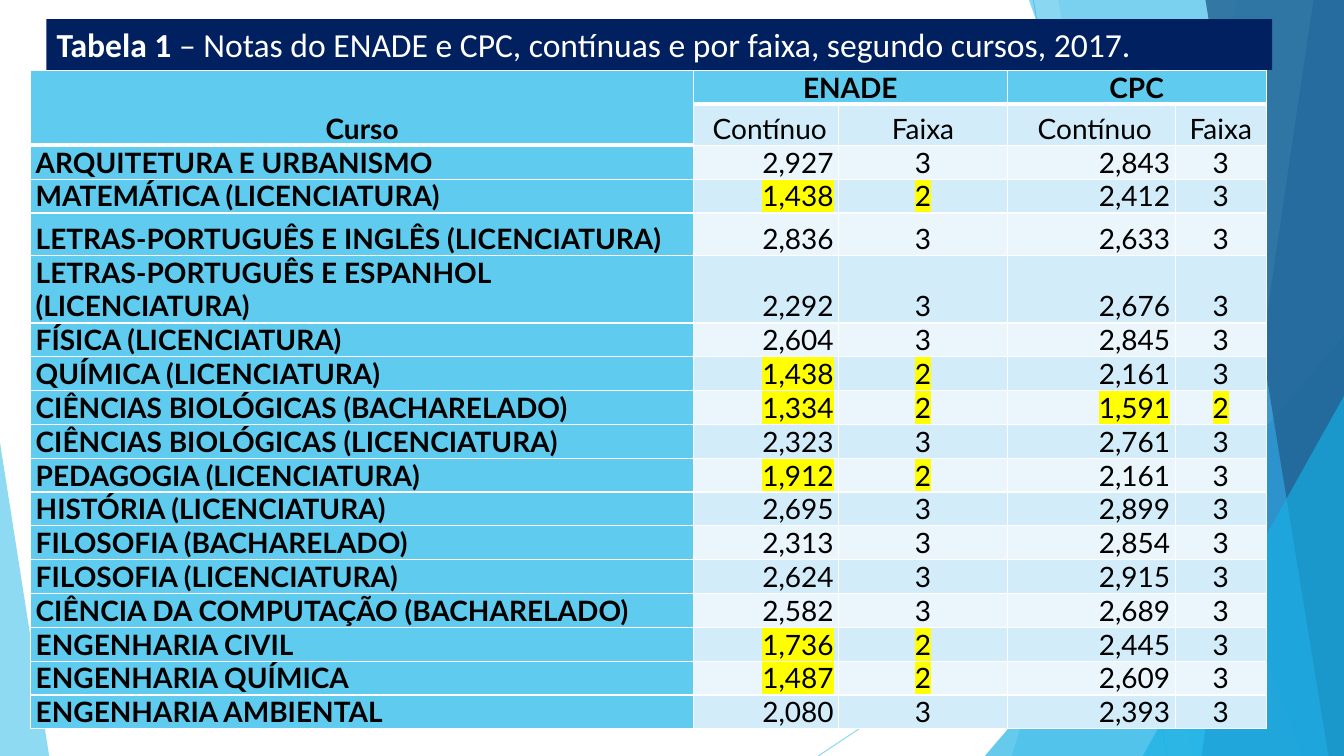
from dataclasses import dataclass

import pptx
import pptx.dml.color
import pptx.enum.shapes
import pptx.enum.text
import pptx.oxml
import pptx.oxml.ns
import pptx.util

Cm = pptx.util.Cm
Pt = pptx.util.Pt
Align = pptx.enum.text.PP_ALIGN
Anchor = pptx.enum.text.MSO_ANCHOR
qn = pptx.oxml.ns.qn


@dataclass(frozen=True)
class Theme:
    sky: str = "5FCBEF"
    azure: str = "17B0E4"
    blue: str = "2E83C3"
    steel: str = "226292"
    navy: str = "002060"
    band_dark: str = "D2ECF9"
    band_light: str = "EAF6FC"
    white: str = "FFFFFF"
    black: str = "000000"
    marker: str = "FFFF00"
    title_font: str = "Calibri"
    table_font: str = "Lato"
    title_size: int = 24
    table_size: int = 20
    thin: int = 1
    thick: int = 3


THEME = Theme()
WIDTH, HEIGHT = 33.87, 19.05
COLUMN_WIDTHS = [16.71, 3.66, 4.24, 4.24, 2.29]
ROW_HEIGHT = 0.85
TALL_ROWS = {1: 1.04, 4: 1.07, 5: 1.07}
ALIGNMENTS = [Align.LEFT, Align.RIGHT, Align.CENTER, Align.RIGHT, Align.CENTER]
LOW_BAND = "2"

HEADERS = [
    ["Curso", "ENADE", "", "CPC", ""],
    ["", " Contínuo", "Faixa", " Contínuo", "Faixa"],
]
COURSES = [
    ["ARQUITETURA E URBANISMO", "2,927", "3", "2,843", "3"],
    ["MATEMÁTICA (LICENCIATURA)", "1,438", "2", "2,412", "3"],
    ["LETRAS-PORTUGUÊS E INGLÊS (LICENCIATURA)", "2,836", "3", "2,633", "3"],
    ["LETRAS-PORTUGUÊS E ESPANHOL (LICENCIATURA)", "2,292", "3", "2,676", "3"],
    ["FÍSICA (LICENCIATURA)", "2,604", "3", "2,845", "3"],
    ["QUÍMICA (LICENCIATURA)", "1,438", "2", "2,161", "3"],
    ["CIÊNCIAS BIOLÓGICAS (BACHARELADO)", "1,334", "2", "1,591", "2"],
    ["CIÊNCIAS BIOLÓGICAS (LICENCIATURA)", "2,323", "3", "2,761", "3"],
    ["PEDAGOGIA (LICENCIATURA)", "1,912", "2", "2,161", "3"],
    ["HISTÓRIA (LICENCIATURA)", "2,695", "3", "2,899", "3"],
    ["FILOSOFIA (BACHARELADO)", "2,313", "3", "2,854", "3"],
    ["FILOSOFIA (LICENCIATURA)", "2,624", "3", "2,915", "3"],
    ["CIÊNCIA DA COMPUTAÇÃO (BACHARELADO)", "2,582", "3", "2,689", "3"],
    ["ENGENHARIA CIVIL", "1,736", "2", "2,445", "3"],
    ["ENGENHARIA QUÍMICA", "1,487", "2", "2,609", "3"],
    ["ENGENHARIA AMBIENTAL", "2,080", "3", "2,393", "3"],
]


def rgb(color):
    return pptx.dml.color.RGBColor.from_string(color)


def paint(fill, color):
    fill.solid()
    fill.fore_color.rgb = rgb(color)


def set_opacity(shape, percent):
    color = shape.element.spPr.find(".//" + qn("a:srgbClr"))
    color.makeelement(qn("a:alpha"))
    alpha = pptx.oxml.parse_xml(
        f'<a:alpha {pptx.oxml.ns.nsdecls("a")} val="{percent * 1000}"/>')
    color.append(alpha)


def finish_facet(shape, color, opacity):
    shape.shadow.inherit = False
    paint(shape.fill, color)
    shape.line.fill.background()
    set_opacity(shape, opacity)


def add_ray(page, start, end):
    ray = page.shapes.add_connector(
        pptx.enum.shapes.MSO_CONNECTOR.STRAIGHT, *map(Cm, start + end))
    ray.line.color.rgb = rgb(THEME.sky)
    ray.line.width = Pt(0.75)
    set_opacity(ray, 70)
    ray.element.spPr.append(
        pptx.oxml.parse_xml(f'<a:effectLst {pptx.oxml.ns.nsdecls("a")}/>'))


def add_facet(page, top_x, bottom_x, color, opacity):
    builder = page.shapes.build_freeform(Cm(top_x), Cm(0))
    corners = [(WIDTH, 0), (WIDTH, HEIGHT), (bottom_x, HEIGHT)]
    builder.add_line_segments([(Cm(x), Cm(y)) for x, y in corners], close=True)
    finish_facet(builder.convert_to_shape(), color, opacity)


def add_corner(page, left, top, width, tip, color, opacity):
    corner = page.shapes.add_shape(
        pptx.enum.shapes.MSO_SHAPE.ISOSCELES_TRIANGLE,
        Cm(left), Cm(top), Cm(width), Cm(HEIGHT - top))
    corner.adjustments[0] = tip
    finish_facet(corner, color, opacity)


def add_backdrop(page):
    add_ray(page, (26.04, 0), (29.41, HEIGHT))
    add_ray(page, (WIDTH, 10.24), (20.62, HEIGHT))
    add_facet(page, 31.19, 25.5, THEME.sky, 36)
    add_facet(page, 26.67, 30.05, THEME.sky, 20)
    add_corner(page, 24.82, 8.46, 9.05, 1, THEME.azure, 66)
    add_facet(page, 25.93, 32.79, THEME.azure, 50)
    add_facet(page, 33.1, 30.28, THEME.blue, 70)
    add_facet(page, 30.38, 33.48, THEME.steel, 80)
    add_corner(page, 28.8, 9.98, 5.07, 1, THEME.azure, 66)
    add_corner(page, 0, 11.15, 1.24, 0, THEME.sky, 70)


def add_span(para, text, font, size, color, bold):
    span = para.add_run()
    span.text = text
    span.font.name = font
    span.font.size = Pt(size)
    span.font.bold = bold
    span.font.color.rgb = rgb(color)
    return span


def highlight(span):
    fill = span.font._element.find(qn("a:solidFill"))
    fill.addnext(pptx.oxml.parse_xml(
        f'<a:highlight {pptx.oxml.ns.nsdecls("a")}>'
        f'<a:srgbClr val="{THEME.marker}"/></a:highlight>'))


def set_borders(cell, bottom):
    properties = cell._tc.get_or_add_tcPr()
    widths = {"L": THEME.thin, "R": THEME.thin, "T": THEME.thin, "B": bottom}
    for side, width in widths.items():
        properties.append(pptx.oxml.parse_xml(
            f'<a:ln{side} {pptx.oxml.ns.nsdecls("a")} w="{Pt(width)}">'
            f'<a:solidFill><a:srgbClr val="{THEME.white}"/></a:solidFill>'
            f'</a:ln{side}>'))


def format_cell(cell, text, fill, align, bold, marked, bottom):
    set_borders(cell, bottom)
    paint(cell.fill, fill)
    cell.vertical_anchor = Anchor.BOTTOM
    cell.margin_left = cell.margin_right = Cm(0.13)
    cell.margin_top = cell.margin_bottom = 0
    para = cell.text_frame.paragraphs[0]
    para.alignment = align
    if text:
        span = add_span(para, text, THEME.table_font, THEME.table_size,
                        THEME.black, bold)
        if marked:
            highlight(span)


def add_grades(page):
    rows = HEADERS + COURSES
    heights = [TALL_ROWS.get(r, ROW_HEIGHT) for r in range(len(rows))]
    frame = page.shapes.add_table(
        len(rows), len(COLUMN_WIDTHS), Cm(0.77), Cm(1.77),
        Cm(sum(COLUMN_WIDTHS)), Cm(sum(heights)))
    grades = frame.table
    grades.first_row = grades.horz_banding = False
    for column, width in zip(grades.columns, COLUMN_WIDTHS):
        column.width = Cm(width)
    for row, height in zip(grades.rows, heights):
        row.height = Cm(height)
    for r, values in enumerate(rows):
        is_header = r < len(HEADERS)
        for c, text in enumerate(values):
            is_label = r == 0 or c == 0
            band = THEME.band_dark if r % 2 else THEME.band_light
            band_column = c + c % 2
            format_cell(
                grades.cell(r, c), text,
                THEME.sky if is_label else band,
                Align.CENTER if is_header else ALIGNMENTS[c],
                is_label,
                c > 0 and values[band_column] == LOW_BAND,
                THEME.thick if is_header and is_label else THEME.thin)
    for first, last in [((0, 0), (1, 0)), ((0, 1), (0, 2)), ((0, 3), (0, 4))]:
        grades.cell(*first).merge(grades.cell(*last))
    return frame


def set_title(page, below):
    box = page.shapes.title
    box.left, box.top, box.width, box.height = map(Cm, (1.17, 0.48, 30.89, 1.28))
    paint(box.fill, THEME.navy)
    box.text_frame.word_wrap = True
    box.text_frame.auto_size = pptx.enum.text.MSO_AUTO_SIZE.NONE
    box.text_frame.vertical_anchor = Anchor.MIDDLE
    para = box.text_frame.paragraphs[0]
    para.alignment = Align.LEFT
    for text, bold in [
        ("Tabela 1 ", True),
        ("– Notas do ENADE e CPC, contínuas e por faixa, segundo cursos, 2017.", False),
    ]:
        add_span(para, text, THEME.title_font, THEME.title_size, THEME.white, bold)
    below.element.addnext(box.element)


def main():
    deck = pptx.Presentation()
    deck.slide_width, deck.slide_height = Cm(WIDTH), Cm(HEIGHT)
    page = deck.slides.add_slide(deck.slide_layouts[5])
    add_backdrop(page)
    grades = add_grades(page)
    set_title(page, grades)
    deck.save("out.pptx")


if __name__ == "__main__":
    main()
